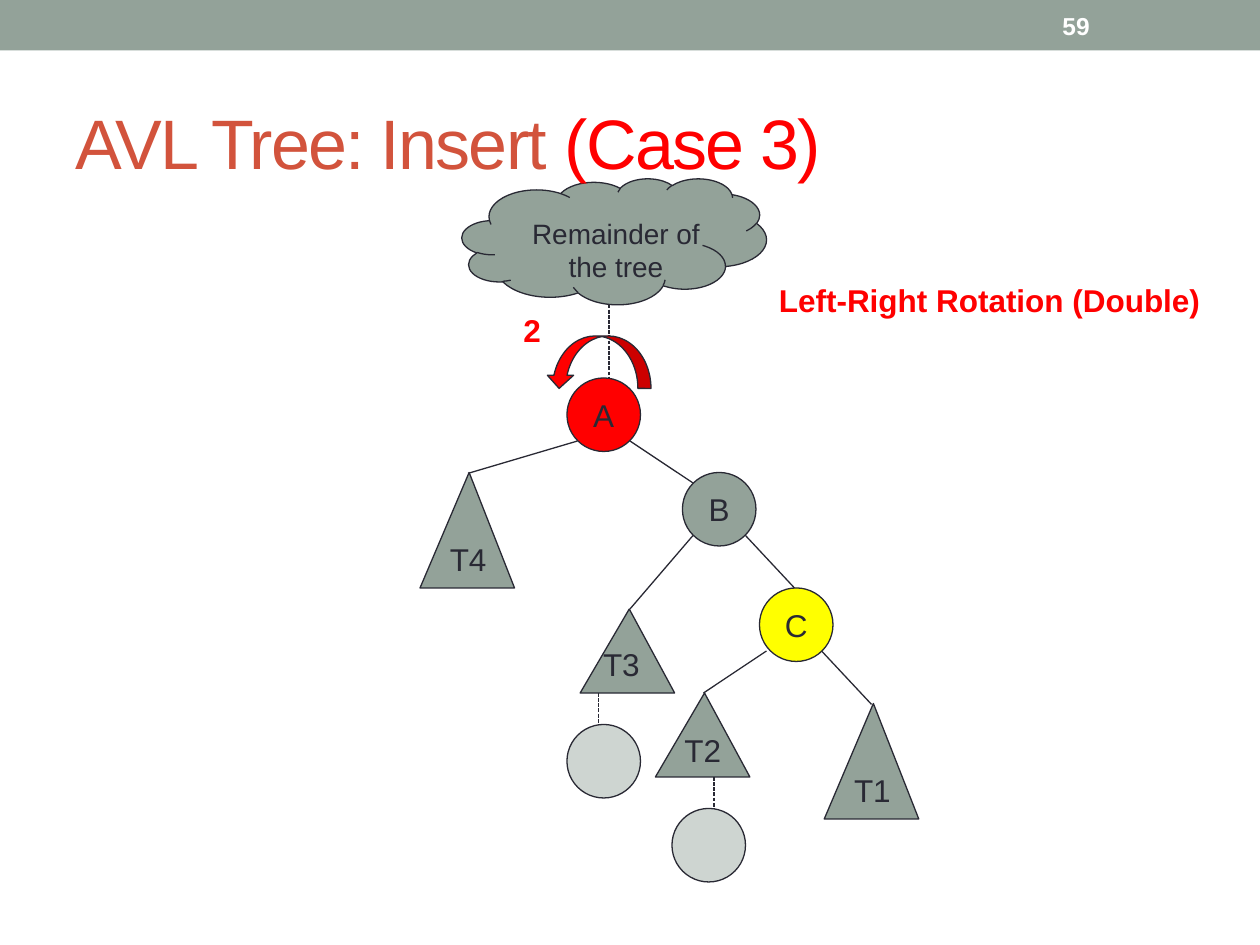
from lxml import etree
from pptx import Presentation
from pptx.dml.color import RGBColor
from pptx.enum.dml import MSO_LINE
from pptx.enum.shapes import MSO_CONNECTOR, MSO_SHAPE
from pptx.enum.text import MSO_ANCHOR, PP_ALIGN
from pptx.oxml.ns import qn
from pptx.util import Pt

RECTANGLE, CLOUD = MSO_SHAPE.RECTANGLE, MSO_SHAPE.CLOUD
OVAL, TRIANGLE = MSO_SHAPE.OVAL, MSO_SHAPE.ISOSCELES_TRIANGLE
CURVED_ARROW = MSO_SHAPE.CURVED_DOWN_ARROW
STRAIGHT, DASH = MSO_CONNECTOR.STRAIGHT, MSO_LINE.SQUARE_DOT
LEFT, CENTER = PP_ALIGN.LEFT, PP_ALIGN.CENTER
TOP, MIDDLE = MSO_ANCHOR.TOP, MSO_ANCHOR.MIDDLE

SAGE, INK, RUST = "93A299", "292934", "D2533C"
RED, YELLOW, WHITE = "FF0000", "FFFF00", "FFFFFF"
NODE = 42
TREE_WIDTH = 54
APEX = 0.52


def color(value):
    return RGBColor.from_string(value)


class TreeSlide:
    font = "Arial"
    line_width = 0.75

    def __init__(self, page):
        self.page = page

    def add_span(self, para, text, size, ink, bold=False):
        span = para.add_run()
        span.text = text
        span.font.name = self.font
        span.font.size = Pt(size)
        span.font.bold = bold
        span.font.color.rgb = color(ink)
        return span

    def title(self, left, top, width, height, parts, size):
        box = self.page.shapes.title
        box.left, box.top, box.width, box.height = map(Pt, (left, top, width, height))
        box.text_frame.vertical_anchor = MIDDLE
        para = box.text_frame.paragraphs[0]
        para.alignment = LEFT
        for text, ink in parts:
            span = self.add_span(para, text, size, ink)
            span.font._element.set("spc", "-100")
        # Bring the title in front of what is drawn so far
        box.element.getparent().append(box.element)

    def text(self, left, top, width, height, lines, size=18, ink=INK,
             bold=False, align=LEFT, anchor=TOP, wrap=False):
        box = self.page.shapes.add_textbox(*map(Pt, (left, top, width, height)))
        frame = box.text_frame
        frame.word_wrap = wrap
        frame.vertical_anchor = anchor
        for index, line in enumerate(lines):
            para = frame.add_paragraph() if index else frame.paragraphs[0]
            para.alignment = align
            self.add_span(para, line, size, ink, bold)

    def shape(self, kind, left, top, width, height, fill=SAGE, label="",
              outlined=True, opacity=100):
        shape = self.page.shapes.add_shape(kind, *map(Pt, (left, top, width, height)))
        shape.shadow.inherit = False
        shape.fill.solid()
        shape.fill.fore_color.rgb = color(fill)
        if opacity < 100:
            tone = shape.element.spPr.find(".//" + qn("a:srgbClr"))
            etree.SubElement(tone, qn("a:alpha")).set("val", str(opacity * 1000))
        if outlined:
            shape.line.color.rgb = color(INK)
            shape.line.width = Pt(self.line_width)
        else:
            shape.line.fill.background()
        if label:
            frame = shape.text_frame
            frame.word_wrap = False
            frame.vertical_anchor = MIDDLE
            frame.paragraphs[0].alignment = CENTER
            self.add_span(frame.paragraphs[0], label, 18, INK)
        return shape

    def node(self, left, top, **style):
        self.shape(OVAL, left, top, NODE, NODE, **style)

    def subtree(self, left, top, height, label=""):
        shape = self.shape(TRIANGLE, left, top, TREE_WIDTH, height, label=label)
        shape.adjustments[0] = APEX

    def rotation(self, left, top, width, height):
        arrow = self.shape(CURVED_ARROW, left, top, width, height, fill=RED)
        arrow.element.spPr.find(qn("a:xfrm")).set("flipH", "1")

    def edge(self, x1, y1, x2, y2, dashed=False):
        line = self.page.shapes.add_connector(STRAIGHT, *map(Pt, (x1, y1, x2, y2)))
        line.line.color.rgb = color(INK)
        line.line.width = Pt(self.line_width)
        if dashed:
            line.line.dash_style = DASH
        etree.SubElement(line.element.spPr, qn("a:effectLst"))


deck = Presentation()
deck.slide_width, deck.slide_height = Pt(720), Pt(540)
slide = TreeSlide(deck.slides.add_slide(deck.slide_layouts[5]))

# Header band, cloud and title
slide.shape(RECTANGLE, 0, 0, 720, 28.8, outlined=False)
slide.shape(CLOUD, 264, 102, 174, 72)
slide.title(36, 42, 648, 78, [("AVL Tree: Insert ", RUST), ("(Case 3)", RED)], 40)
slide.text(600, 1.5, 84, 26, ["59"], 14, WHITE, bold=True, anchor=MIDDLE)
slide.text(290, 120, 124, 46, ["Remainder of", "the tree"], 16,
           align=CENTER, wrap=True)
slide.edge(348, 174, 348, 216, dashed=True)

# Tree nodes
for label, left, top, fill in [("B", 390, 270, SAGE), ("A", 324, 216, RED),
                               ("C", 434, 336, YELLOW)]:
    slide.node(left, top, fill=fill, label=label)

# Tall subtrees carry their own label
for label, left, top in [("T4", 240, 270), ("T1", 471, 402)]:
    slide.subtree(left, top, 66, label)

# Short subtrees, each with a label and a possible new node below
for label, left, top, label_left, label_top, new_left, stem in [
        ("T3", 331.5, 348, 337.5, 365, 324, 342),
        ("T2", 374.5, 396, 384, 414, 384, 408)]:
    bottom = top + 48
    slide.subtree(left, top, 48)
    slide.text(label_left, label_top, 37, 31, [label])
    slide.node(new_left, bottom + 18, opacity=45)
    slide.edge(stem, bottom, stem, bottom + 18, dashed=True)

# Edges from parent to child
for ends in [(360, 252, 396, 276), (330, 252, 267.5, 270.5),
             (426, 306, 454, 336), (396, 306, 360, 348),
             (438, 372, 402, 396), (469.5, 372, 498, 402.5)]:
    slide.edge(*ends)

# Rotation arrow and notes
slide.rotation(312, 192, 60, 30)
slide.text(292, 174, 26, 29, ["2"], ink=RED, bold=True)
slide.text(438, 157, 265, 29, ["Left-Right Rotation (Double)"], ink=RED, bold=True)

deck.save("out.pptx")
